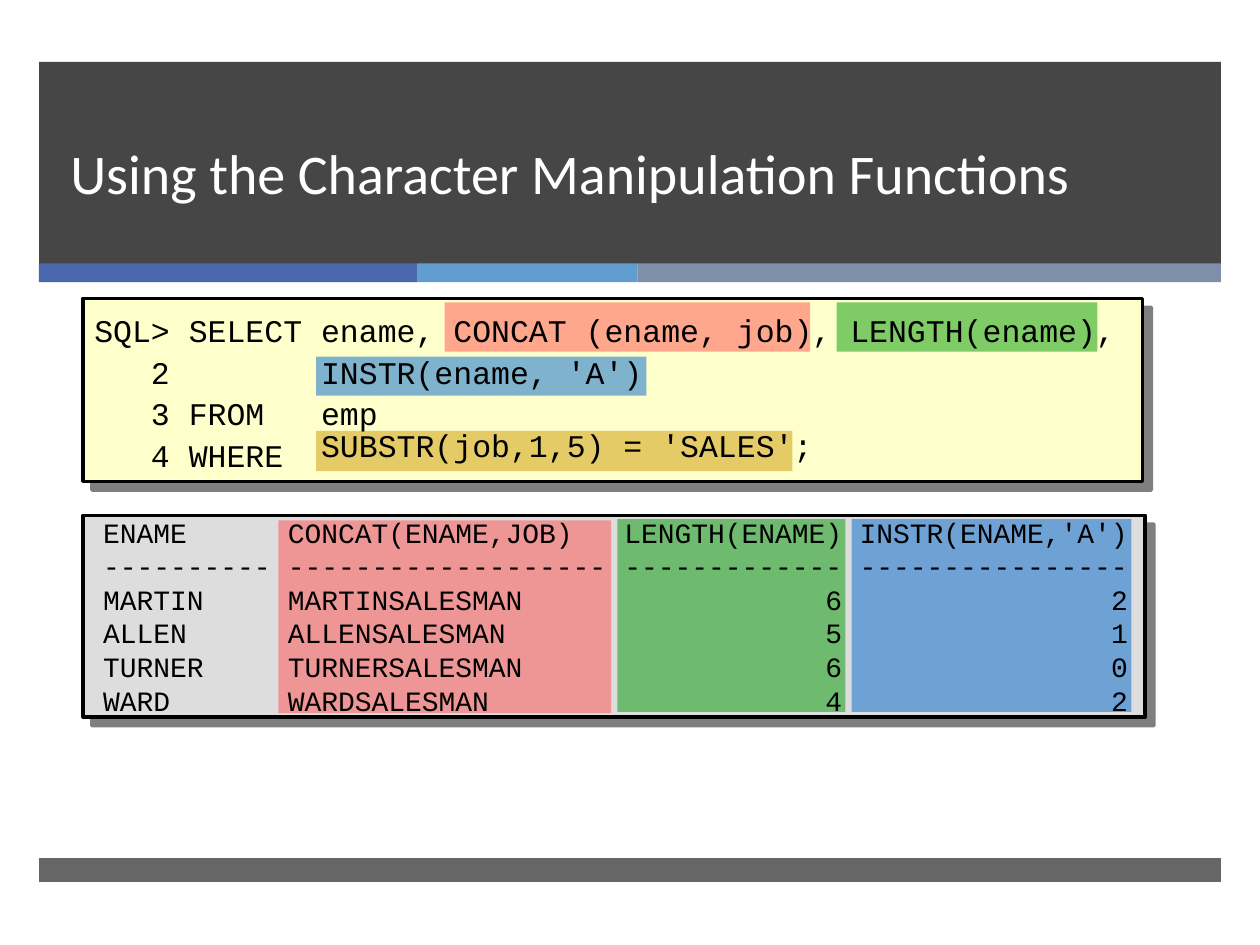
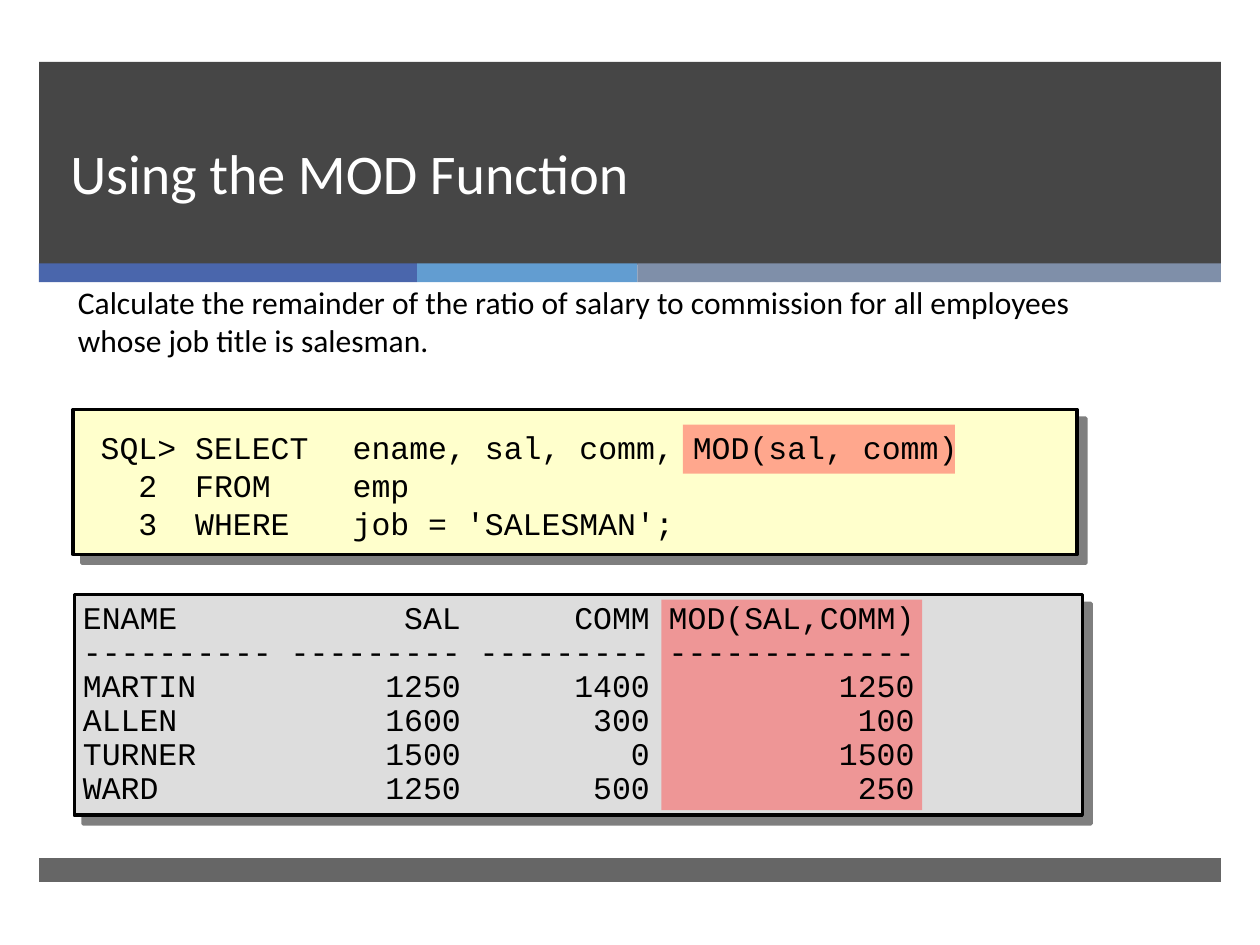
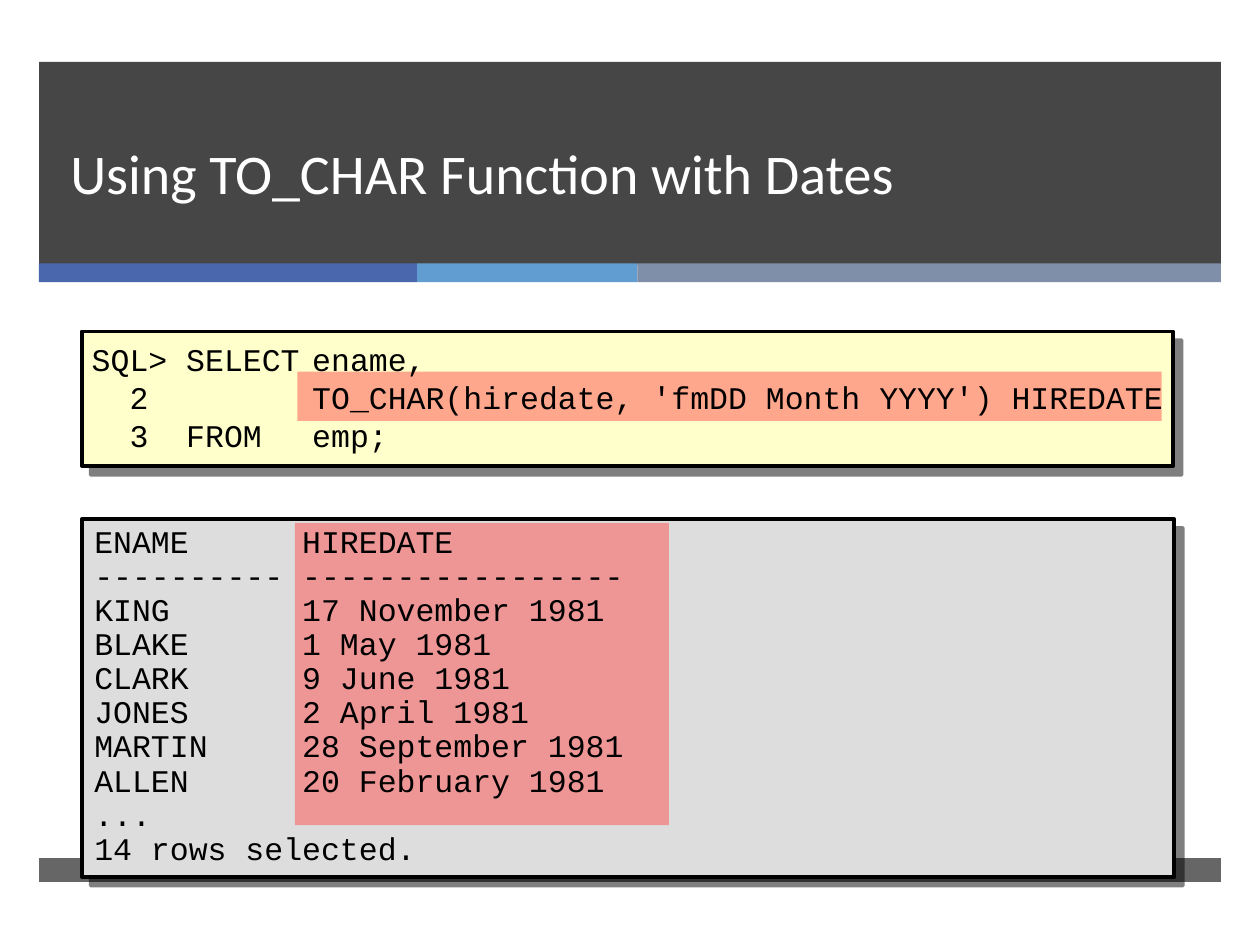
from lxml.etree import SubElement
from pptx import Presentation
from pptx.dml.color import RGBColor
from pptx.enum.shapes import MSO_SHAPE as Shape
from pptx.enum.text import MSO_ANCHOR as Anchor
from pptx.oxml.ns import qn
from pptx.util import Inches, Pt

BLACK, WHITE, CHARCOAL = "000000", "FFFFFF", "262626"
CODE_FILL, RESULT_FILL = "FFFFCC", "DDDDDD"
RED, GREEN, BLUE, GOLD = "FF5050", "009900", "0066CC", "CC9900"
BODY_FONT, CODE_FONT = "Calibri", "Courier New"
PROMPT_CHARACTERS = 5
CHARACTER_RATIO = 0.6

BAND_LEFT, BAND_WIDTH = 0.31, 9.38
STRIPES = [("4A66AC", 3), ("629DD1", 1.75), ("7F8FA9", 4.63)]
TITLE_BOX = (0.46, 0.49, 8.54, 1.19)

SLIDES = [
    {
        "title": "Using the Character Manipulation Functions",
        "panels": [(RESULT_FILL, (0.66, 4.09, 8.43, 1.6)), (CODE_FILL, (0.66, 2.37, 8.41, 1.45))],
        "highlights": [
            (RED, (3.53, 2.4, 2.9, 0.39)), (RED, (2.21, 4.13, 2.64, 1.53)),
            (GREEN, (6.64, 2.4, 2.07, 0.39)), (GREEN, (4.9, 4.12, 1.81, 1.53)),
            (BLUE, (2.51, 2.83, 2.62, 0.31)), (BLUE, (6.76, 4.12, 2.22, 1.53)),
            (GOLD, (2.51, 3.42, 3.78, 0.32)),
        ],
        "code": {
            "box": (0.65, 2.36, 8.5, 1.48), "number_column": 3, "clause_tab": 1.8,
            "format": {"anchor": Anchor.MIDDLE, "spacing": 1.1},
            "lines": [
                ("SQL>", "SELECT", "ename, CONCAT (ename, job), LENGTH(ename),"),
                ("", "2", "", "INSTR(ename, 'A')"),
                ("", "3", "FROM", "emp"),
                ("", "4", "WHERE"),
            ],
        },
        "condition": ("SUBSTR(job,1,5) = 'SALES';", (2.45, 3.33, 4.3, 0.46)),
        "result": {
            "box": (0.72, 4.04, 8.37, 1.7), "format": {"size": 16},
            "columns": [(10, "l"), (19, "l"), (13, "r"), (16, "r")],
            "rows": [
                ("ENAME", "CONCAT(ENAME,JOB)", "LENGTH(ENAME)", "INSTR(ENAME,'A')"),
                ("MARTIN", "MARTINSALESMAN", "6", "2"),
                ("ALLEN", "ALLENSALESMAN", "5", "1"),
                ("TURNER", "TURNERSALESMAN", "6", "0"),
                ("WARD", "WARDSALESMAN", "4", "2"),
            ],
        },
    },
    {
        "title": "Using the MOD Function",
        "intro": ("Calculate the remainder of the ratio of salary to commission for all employees "
                  "whose job title is salesman.", (0.52, 2.2, 8.08, 1.43)),
        "panels": [(RESULT_FILL, (0.59, 4.72, 8, 1.75)), (CODE_FILL, (0.58, 3.25, 7.97, 1.15))],
        "highlights": [(RED, (5.42, 3.37, 2.16, 0.39)), (RED, (5.25, 4.76, 2.07, 1.67))],
        "code": {
            "box": (0.7, 3.35, 7.82, 1.54), "number_column": 2, "clause_tab": 2, "format": {},
            "lines": [
                ("SQL>", "SELECT", "ename, sal, comm, MOD(sal, comm)"),
                ("", "2", "FROM", "emp"),
                ("", "3", "WHERE", "job = 'SALESMAN';"),
            ],
        },
        "result": {
            "box": (0.56, 4.73, 7.97, 1.73), "format": {"size": 18, "spacing": 0.9},
            "columns": [(10, "l"), (9, "r"), (9, "r"), (13, "r")],
            "rows": [
                ("ENAME", "SAL", "COMM", "MOD(SAL,COMM)"),
                ("MARTIN", "1250", "1400", "1250"),
                ("ALLEN", "1600", "300", "100"),
                ("TURNER", "1500", "0", "1500"),
                ("WARD", "1250", "500", "250"),
            ],
        },
    },
    {
        "title": "Using TO_CHAR Function with Dates",
        "panels": [(CODE_FILL, (0.65, 2.63, 8.66, 1.07)), (RESULT_FILL, (0.65, 4.12, 8.67, 2.84))],
        "highlights": [(RED, (2.36, 2.95, 6.86, 0.39)), (RED, (2.34, 4.15, 2.97, 2.4))],
        "code": {
            "box": (0.63, 2.41, 8.9, 1.48), "number_column": 2, "clause_tab": 1.75,
            "format": {"anchor": Anchor.MIDDLE},
            "lines": [
                ("SQL>", "SELECT", "ename,"),
                ("", "2", "", "TO_CHAR(hiredate, 'fmDD Month YYYY') HIREDATE"),
                ("", "3", "FROM", "emp;"),
            ],
        },
        "result": {
            "box": (0.65, 4.13, 7.94, 2.81), "format": {"size": 18, "spacing": 0.9},
            "columns": [(10, "l"), (17, "l")],
            "rows": [
                ("ENAME", "HIREDATE"),
                ("KING", "17 November 1981"),
                ("BLAKE", "1 May 1981"),
                ("CLARK", "9 June 1981"),
                ("JONES", "2 April 1981"),
                ("MARTIN", "28 September 1981"),
                ("ALLEN", "20 February 1981"),
                ("...",),
                ("14 rows selected.",),
            ],
        },
    },
]


def color(value):
    return RGBColor.from_string(value)


def add_alpha(color_element, percent):
    SubElement(color_element, qn("a:alpha"), val=str(percent * 1000))


def add_rectangle(slide, box, fill, opacity=100):
    shape = slide.shapes.add_shape(Shape.RECTANGLE, *map(Inches, box))
    shape.shadow.inherit = False
    shape.fill.solid()
    shape.fill.fore_color.rgb = color(fill)
    shape.line.fill.background()
    if opacity < 100:
        add_alpha(shape._element.spPr.find(".//" + qn("a:srgbClr")), opacity)
    return shape


def add_panel(slide, box, fill):
    shape = add_rectangle(slide, box, fill)
    shape.line.color.rgb = color(BLACK)
    shape.line.width = Pt(2)
    effects = shape._element.spPr.find(qn("a:effectLst"))
    shadow = SubElement(effects, qn("a:outerShdw"), dist=str(Pt(7.1)), dir=str(45 * 60000),
                        algn="ctr", rotWithShape="0")
    add_alpha(SubElement(shadow, qn("a:srgbClr"), val=BLACK), 50)


def set_tabs(paragraph, tabs):
    tab_list = SubElement(paragraph._p.get_or_add_pPr(), qn("a:tabLst"))
    for position, alignment in tabs:
        SubElement(tab_list, qn("a:tab"), pos=str(Inches(position)), algn=alignment)


def add_text(slide, text, box, font=CODE_FONT, size=18, fill=BLACK, anchor=Anchor.TOP,
             spacing=None, tabs=()):
    frame = slide.shapes.add_textbox(*map(Inches, box)).text_frame
    frame.word_wrap = True
    frame.vertical_anchor = anchor
    frame.text = text
    for paragraph in frame.paragraphs:
        if spacing:
            paragraph.line_spacing = spacing
        if tabs:
            set_tabs(paragraph, tabs)
        for run in paragraph.runs:
            run.font.name = font
            run.font.size = Pt(size)
            run.font.color.rgb = color(fill)


def join_rows(rows):
    return "\n".join("\t".join(row) for row in rows)


def character_width(size):
    return size * CHARACTER_RATIO / 72


def add_code(slide, code):
    width = character_width(18)
    tabs = [(code["number_column"] * width, "l"), (PROMPT_CHARACTERS * width, "l"),
            (code["clause_tab"], "l")]
    add_text(slide, join_rows(code["lines"]), code["box"], tabs=tabs, **code["format"])


def add_result(slide, result):
    width = character_width(result["format"]["size"])
    tabs, start = [], 0
    for characters, alignment in result["columns"]:
        stop = start if alignment == "l" else start + characters
        tabs.append((stop * width, alignment))
        start += characters + 1
    header, *records = result["rows"]
    rule = ["-" * characters for characters, _ in result["columns"]]
    add_text(slide, join_rows([header, rule, *records]), result["box"], tabs=tabs[1:],
             **result["format"])


def add_frame(slide, title):
    add_rectangle(slide, (BAND_LEFT, 0.49, BAND_WIDTH, 1.61), CHARCOAL, 85)
    left = BAND_LEFT
    for fill, width in STRIPES:
        add_rectangle(slide, (left, 2.09, width, 0.15), fill)
        left += width
    add_rectangle(slide, (BAND_LEFT, 6.81, BAND_WIDTH, 0.19), CHARCOAL, 70)
    add_text(slide, title, TITLE_BOX, font=BODY_FONT, size=32, fill=WHITE,
             anchor=Anchor.BOTTOM, spacing=Pt(46))


def add_content(slide, content):
    add_frame(slide, content["title"])
    if "intro" in content:
        add_text(slide, *content["intro"], font=BODY_FONT)
    for fill, box in content["panels"]:
        add_panel(slide, box, fill)
    for fill, box in content["highlights"]:
        add_rectangle(slide, box, fill, 50)
    add_code(slide, content["code"])
    if "condition" in content:
        add_text(slide, *content["condition"])
    add_result(slide, content["result"])


def main():
    presentation = Presentation()
    presentation.slide_width, presentation.slide_height = Inches(10), Inches(7.5)
    for content in SLIDES:
        add_content(presentation.slides.add_slide(presentation.slide_layouts[6]), content)
    presentation.save("out.pptx")


if __name__ == "__main__":
    main()
